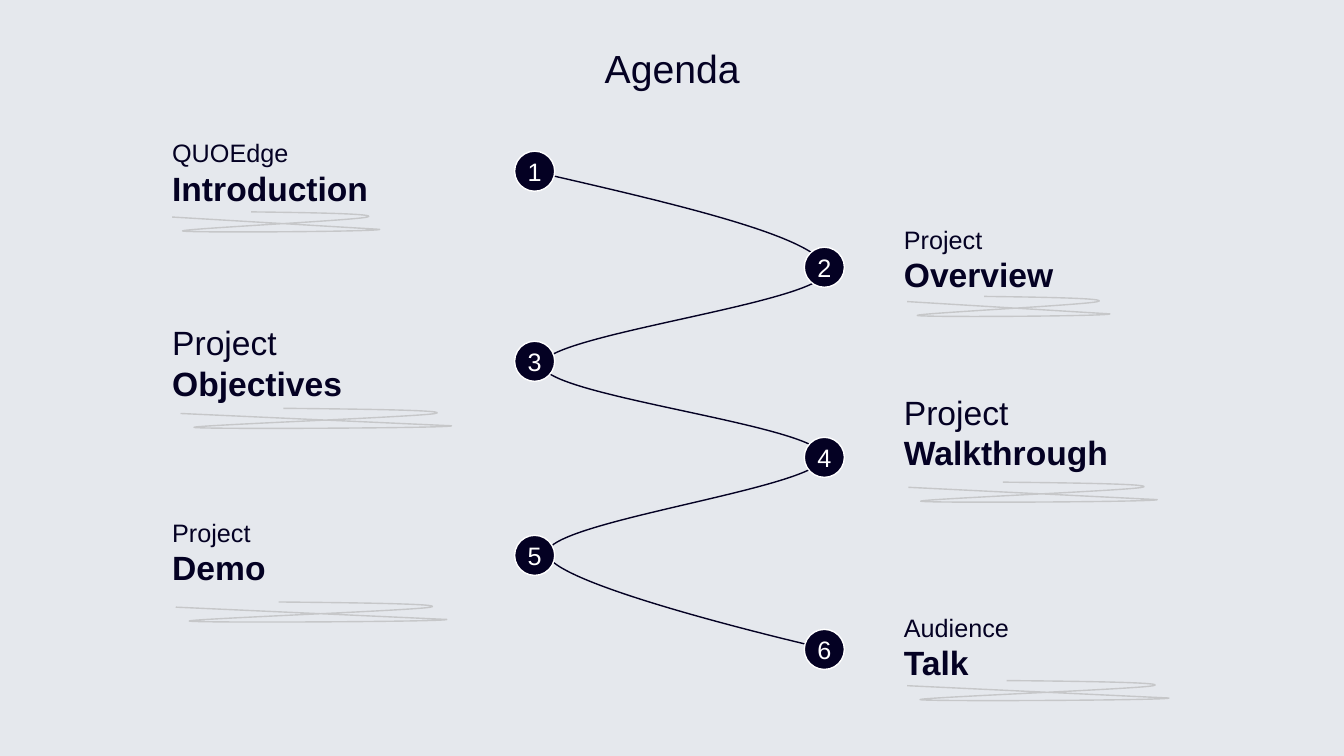
from lxml.etree import SubElement
from pptx import Presentation
from pptx.dml.color import RGBColor
from pptx.enum.shapes import MSO_SHAPE
from pptx.enum.text import MSO_ANCHOR, PP_ALIGN
from pptx.oxml.ns import qn
from pptx.util import Cm, Pt

NAVY = RGBColor(0x04, 0x01, 0x23)
WHITE = RGBColor(0xFF, 0xFF, 0xFF)
GREY = RGBColor(0xC6, 0xC7, 0xC9)
MIST = RGBColor(0xE5, 0xE8, 0xED)

TITLE = "Agenda"
TOPICS = [
    {"lead": ("QUOEdge", 18), "heading": "Introduction", "text_top": 3.33,
     "marker_top": 3.81, "scribble": (4.34, 5.34, 5.23)},
    {"lead": ("Project", 18), "heading": "Overview", "text_top": 5.5,
     "marker_top": 6.23, "scribble": (22.86, 7.47, 5.11)},
    {"lead": ("Project", 24), "heading": "Objectives", "text_top": 8.11,
     "marker_top": 8.6, "scribble": (4.55, 10.29, 6.83)},
    {"lead": ("Project", 24), "heading": "Walkthrough", "text_top": 9.86,
     "marker_top": 11.02, "scribble": (22.89, 12.15, 6.27)},
    {"lead": ("Project", 18), "heading": "Demo", "text_top": 12.89,
     "marker_top": 13.49, "scribble": (4.43, 15.17, 6.83)},
    {"lead": ("Audience", 18), "heading": "Talk", "text_top": 15.28,
     "marker_top": 15.86, "scribble": (22.86, 17.15, 6.6)},
]
TITLE_AREA = (4.34, 1.12, 25.2, 1.19)
FOOTER_AREA = (0, 17.96, 33.87, 1.02)
TEXT_LEFTS = (4.34, 22.78)
TEXT_SIZE = (8.5, 2.06)
MARKER_LEFTS = (12.97, 20.27)
MARKER_SIZE = 1.01
ROUTE = [
    (13.23, 4.27), (16.99, 5.13), (20.75, 5.99), (20.83, 6.81),
    (20.9, 7.62), (13.67, 8.43), (13.67, 9.19),
    (13.64, 9.98), (20.75, 10.72), (20.75, 11.51),
    (20.78, 12.29), (13.77, 13.13), (13.79, 13.94),
    (13.82, 14.76), (20.85, 16.36), (20.85, 16.36),
]
SCRIBBLE = [
    (0, 0.13), (1, 0.44),
    (1.01, 0.5), (0.06, 0.53), (0.05, 0.48),
    (0.04, 0.43), (0.89, 0.21), (0.94, 0.13),
    (1, 0.05), (0.69, 0.02), (0.38, 0),
]


def apply(target, values):
    for name, value in values.items():
        setattr(target, name, value)


def set_fill(shape, color):
    shape.shadow.inherit = False
    shape.fill.solid()
    shape.fill.fore_color.rgb = color


def set_line(shape, color):
    shape.line.color.rgb = color
    shape.line.width = Pt(1)


def draw_stroke(page, points, straight_count, color):
    places = [(Cm(x), Cm(y)) for x, y in points]
    builder = page.shapes.build_freeform(*places[0])
    builder.add_line_segments(places[1:], close=False)
    stroke = builder.convert_to_shape()
    stroke.shadow.inherit = False
    stroke.fill.background()
    set_line(stroke, color)

    outline = next(stroke.element.iter(qn("a:path")))
    corners = outline.findall(qn("a:lnTo"))[straight_count:]
    for first in range(0, len(corners), 3):
        curve = SubElement(outline, qn("a:cubicBezTo"))
        for corner in corners[first:first + 3]:
            curve.append(corner[0])
            outline.remove(corner)


def write(box, lines, align, anchor, color, wrap=True):
    frame = box.text_frame
    apply(frame, {
        "margin_left": 0, "margin_top": 0, "margin_right": 0, "margin_bottom": 0,
        "word_wrap": wrap, "vertical_anchor": anchor,
    })
    for index, (text, size, bold) in enumerate(lines):
        para = frame.add_paragraph() if index else frame.paragraphs[0]
        para.alignment = align
        span = para.add_run()
        span.text = text
        apply(span.font, {"name": "Arial", "size": Pt(size), "bold": bold})
        span.font.color.rgb = color


def add_text(page, area, lines, align, anchor):
    box = page.shapes.add_textbox(*map(Cm, area))
    write(box, lines, align, anchor, NAVY)


def add_marker(page, number, left, top):
    area = (left, top, MARKER_SIZE, MARKER_SIZE)
    marker = page.shapes.add_shape(MSO_SHAPE.OVAL, *map(Cm, area))
    set_fill(marker, NAVY)
    set_line(marker, WHITE)
    write(marker, [(str(number), 18, False)], PP_ALIGN.CENTER, MSO_ANCHOR.MIDDLE, WHITE, False)


def main():
    deck = Presentation()
    apply(deck, {"slide_width": Cm(33.87), "slide_height": Cm(19.05)})
    page = deck.slides.add_slide(deck.slide_layouts[6])
    page.background.fill.solid()
    page.background.fill.fore_color.rgb = MIST

    add_text(page, TITLE_AREA, [(TITLE, 28, False)], PP_ALIGN.CENTER, MSO_ANCHOR.TOP)
    for index, topic in enumerate(TOPICS):
        area = (TEXT_LEFTS[index % 2], topic["text_top"], *TEXT_SIZE)
        lines = [(*topic["lead"], False), (topic["heading"], 24, True)]
        add_text(page, area, lines, PP_ALIGN.LEFT, MSO_ANCHOR.MIDDLE)

    draw_stroke(page, ROUTE, 0, NAVY)
    for index, topic in enumerate(TOPICS):
        add_marker(page, index + 1, MARKER_LEFTS[index % 2], topic["marker_top"])

    for topic in TOPICS:
        left, top, width = topic["scribble"]
        points = [(left + x * width, top + y) for x, y in SCRIBBLE]
        draw_stroke(page, points, 1, GREY)

    footer = page.shapes.add_shape(MSO_SHAPE.RECTANGLE, *map(Cm, FOOTER_AREA))
    set_fill(footer, MIST)
    footer.line.fill.background()

    deck.save("out.pptx")


if __name__ == "__main__":
    main()
